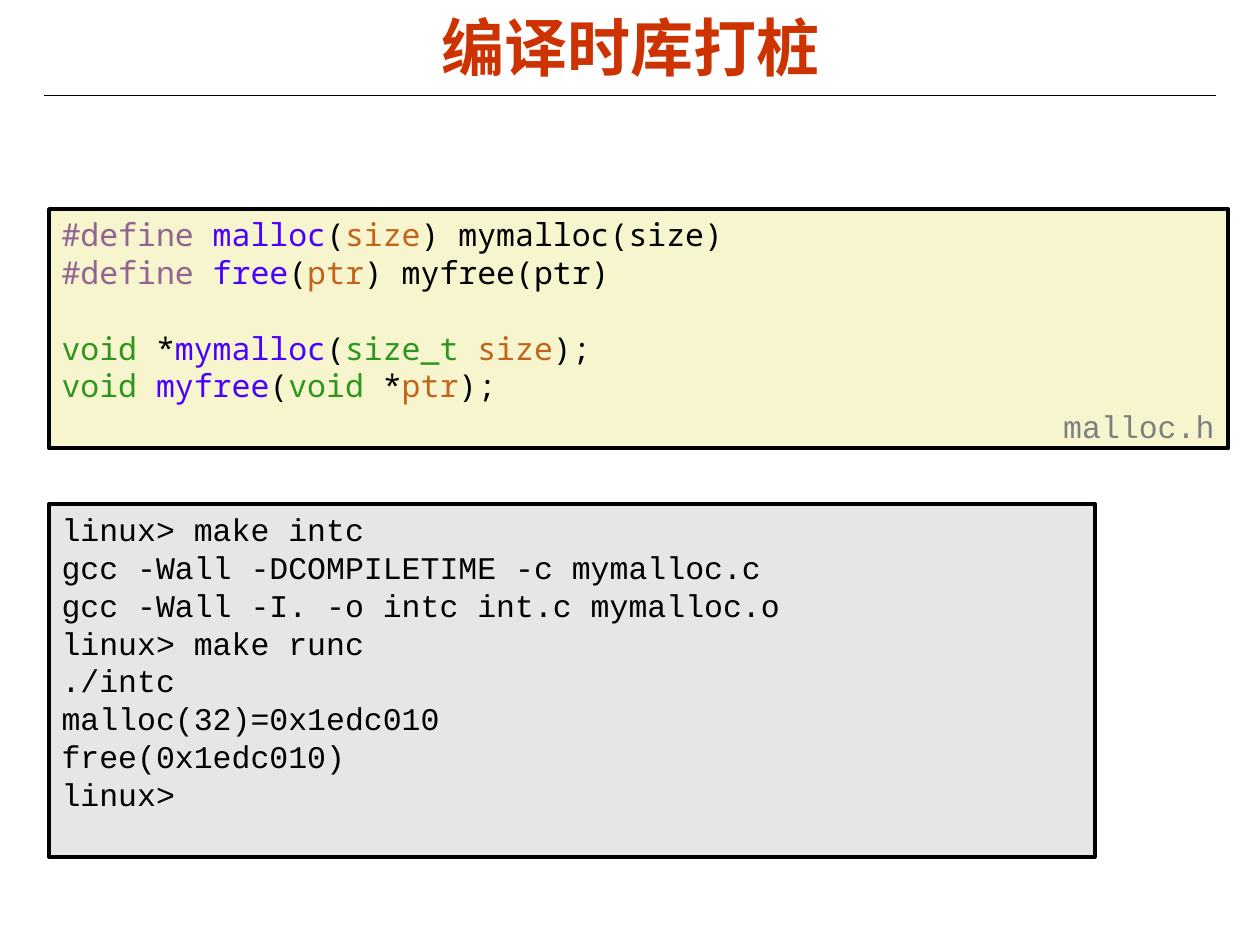
from dataclasses import dataclass

from lxml.etree import SubElement
from pptx import Presentation
from pptx.dml.color import RGBColor
from pptx.enum.shapes import MSO_CONNECTOR, MSO_SHAPE
from pptx.enum.text import MSO_ANCHOR, PP_ALIGN
from pptx.oxml.ns import qn
from pptx.util import Inches, Pt

COLORS = {
    "title": "CC3300", "black": "000000", "file": "7F7F7F",
    "code_bg": "F7F5CD", "shell_bg": "E6E6E6",
    "macro": "926492", "func": "4A00FF", "arg": "C1651C", "type": "2D961E",
}
LINE_HEIGHT = Pt(21.6)


@dataclass
class Line:
    runs: list[tuple[str, str]]  # (text, colour name)
    gap: bool = False  # one empty line above


@dataclass
class Listing:
    left: float
    top: float
    width: float
    height: float
    fill: str
    font: str
    lines: list[Line]


def rgb(name: str) -> RGBColor:
    return RGBColor.from_string(COLORS[name])


def set_font(font, name: str, size: float, color: str | None = None) -> None:
    font.name, font.size = name, Pt(size)
    if color:
        font.color.rgb = rgb(color)


def add_listing(s, box: Listing) -> None:
    sp = s.shapes.add_shape(MSO_SHAPE.RECTANGLE, Inches(box.left), Inches(box.top),
                            Inches(box.width), Inches(box.height))
    sp.shadow.inherit = False
    sp.fill.solid()
    sp.fill.fore_color.rgb = rgb(box.fill)
    sp.line.color.rgb = rgb("black")
    sp.line.width = Pt(2.25)
    tf = sp.text_frame
    tf.word_wrap = True
    tf.vertical_anchor = MSO_ANCHOR.TOP
    for i, line in enumerate(box.lines):
        p = tf.paragraphs[0] if i == 0 else tf.add_paragraph()
        p.alignment = PP_ALIGN.LEFT
        p.line_spacing = LINE_HEIGHT
        if line.gap:
            p.space_before = LINE_HEIGHT
        set_font(p.font, box.font, 18)
        for text, color in line.runs:
            r = p.add_run()
            r.text = text
            r.font.color.rgb = rgb(color)


HEADER = Listing(0.39, 1.66, 9.36, 1.9, "code_bg", "Noto Sans Mono", [
    Line([("#define ", "macro"), ("malloc", "func"), ("(", "black"),
          ("size", "arg"), (") mymalloc(size)", "black")]),
    Line([("#define ", "macro"), ("free", "func"), ("(", "black"),
          ("ptr", "arg"), (") myfree(ptr)", "black")]),
    Line([("void", "type"), (" *", "black"), ("mymalloc", "func"), ("(", "black"),
          ("size_t ", "type"), ("size", "arg"), (");", "black")], gap=True),
    Line([("void ", "type"), ("myfree", "func"), ("(", "black"), ("void", "type"),
          (" *", "black"), ("ptr", "arg"), (");", "black")]),
])
SESSION = Listing(0.39, 4, 8.3, 2.8, "shell_bg", "Courier New", [
    Line([(text, "black")]) for text in (
        "linux> make intc",
        "gcc -Wall -DCOMPILETIME -c mymalloc.c",
        "gcc -Wall -I. -o intc int.c mymalloc.o",
        "linux> make runc",
        "./intc",
        "malloc(32)=0x1edc010",
        "free(0x1edc010)",
        "linux>",
    )
])


def main() -> None:
    prs = Presentation()
    prs.slide_width, prs.slide_height = Inches(10), Inches(7.5)
    s = prs.slides.add_slide(prs.slide_layouts[5])

    # Title and rule below it
    title = s.shapes.title
    title.left, title.top = Inches(0.5), Inches(0.06)
    title.width, title.height = Inches(9), Inches(0.61)
    tf = title.text_frame
    tf.text = "编译时库打桩"
    tf.vertical_anchor = MSO_ANCHOR.MIDDLE
    p = tf.paragraphs[0]
    p.alignment = PP_ALIGN.CENTER
    set_font(p.font, "Arial", 36, "title")
    p.font.bold = True
    rule = s.shapes.add_connector(MSO_CONNECTOR.STRAIGHT, Inches(0.35), Inches(0.76),
                                  Inches(9.65), Inches(0.76))
    rule.line.color.rgb = rgb("black")
    rule.line.width = Pt(0.75)
    SubElement(rule._element.spPr, qn("a:effectLst"))

    # Header file with its name in the corner
    add_listing(s, HEADER)
    label = s.shapes.add_textbox(Inches(8.34), Inches(3.18), Inches(1.4), Inches(0.4))
    label.text_frame.word_wrap = False
    p = label.text_frame.paragraphs[0]
    p.text = "malloc.h"
    set_font(p.font, "Courier New", 18, "file")

    # Shell session
    add_listing(s, SESSION)
    prs.save("out.pptx")


if __name__ == "__main__":
    main()
